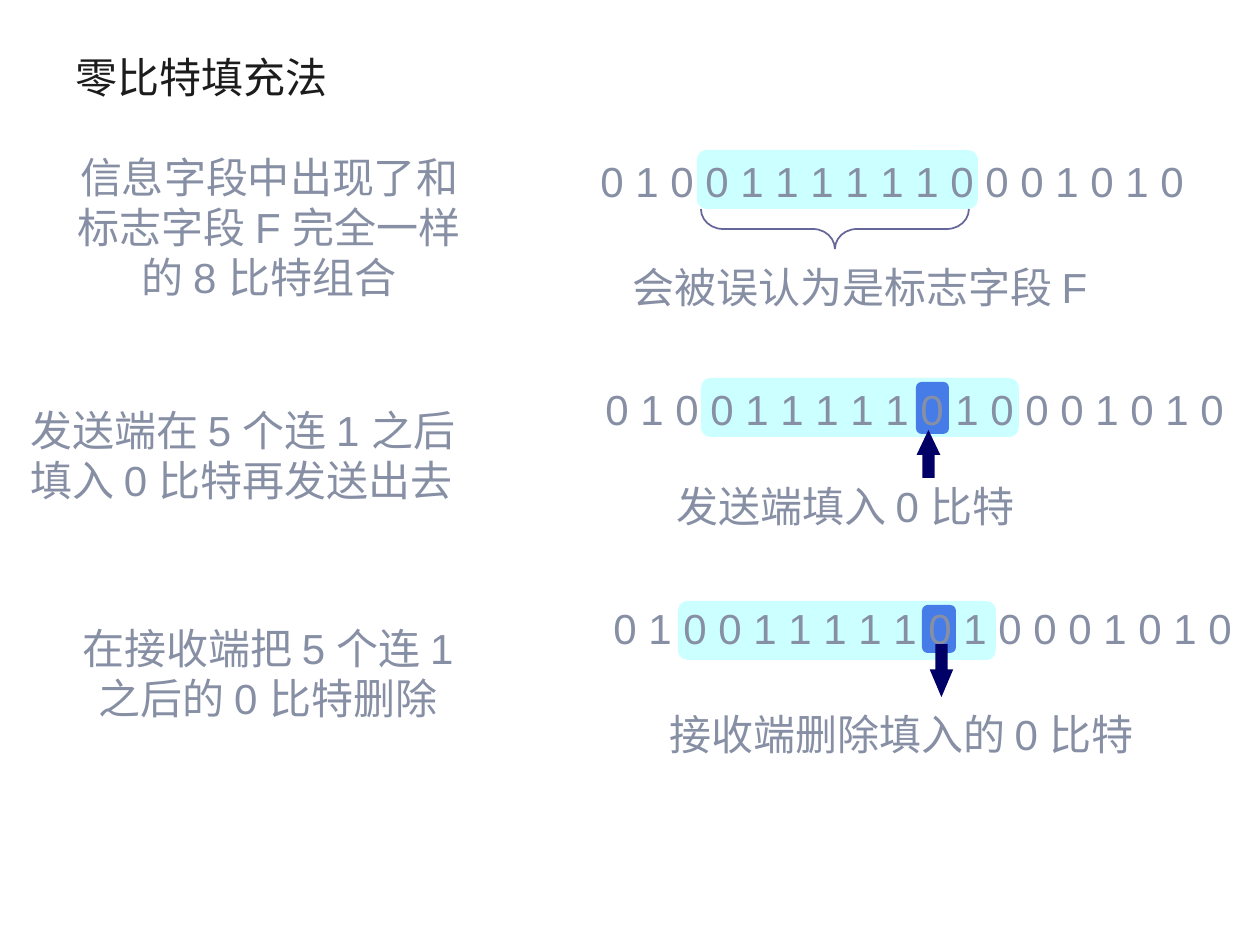
import pptx
import pptx.util
import pptx.dml.color
import pptx.enum.shapes
import pptx.enum.text
import pptx.oxml.ns
from dataclasses import dataclass
from lxml import etree

SHAPE = pptx.enum.shapes.MSO_SHAPE
ALIGN = pptx.enum.text.PP_ALIGN
ANCHOR = pptx.enum.text.MSO_ANCHOR
PX = 914400 // 126


@dataclass(frozen=True)
class Theme:
    title: str = "1C1C1C"
    body: str = "878FA5"
    highlight: str = "CCFFFF"
    stuffed: str = "467CE8"
    arrow: str = "000066"
    brace: str = "666699"
    latin: str = "Arial"
    asian: str = "Noto Sans CJK SC"
    size: int = 24
    leading: float = 28.6
    rounding: float = 0.167


def color(value):
    return pptx.dml.color.RGBColor.from_string(value)


class SlideBuilder:
    def __init__(self, deck, theme):
        self.theme = theme
        self.page = deck.slides.add_slide(deck.slide_layouts[6])

    def text(self, area, lines, align=ALIGN.LEFT, fill=None, latin=None,
             anchor=ANCHOR.TOP):
        theme = self.theme
        box = self.page.shapes.add_textbox(*(n * PX for n in area))
        frame = box.text_frame
        frame.word_wrap = False
        frame.vertical_anchor = anchor
        for index, line in enumerate(lines):
            para = frame.paragraphs[0] if index == 0 else frame.add_paragraph()
            para.alignment = align
            para.line_spacing = pptx.util.Pt(theme.leading)
            span = para.add_run()
            span.text = line
            span.font.color.rgb = color(fill or theme.body)
            settings = {"name": latin or theme.latin,
                        "size": pptx.util.Pt(theme.size)}
            for name, value in settings.items():
                setattr(span.font, name, value)
            asian = etree.SubElement(span.font._element, pptx.oxml.ns.qn("a:ea"))
            asian.set("typeface", theme.asian)

    def shape(self, kind, area, adjustments, fill=None, line=None, rotation=0):
        item = self.page.shapes.add_shape(kind, *(n * PX for n in area))
        item.shadow.inherit = False
        item.rotation = rotation
        for index, value in enumerate(adjustments):
            item.adjustments[index] = value
        if fill:
            item.fill.solid()
            item.fill.fore_color.rgb = color(fill)
        else:
            item.fill.background()
        if line:
            item.line.color.rgb = color(line)
            item.line.width = pptx.util.Pt(1)
            outline = item._element.spPr.find(pptx.oxml.ns.qn("a:ln"))
            etree.SubElement(outline, pptx.oxml.ns.qn("a:miter")).set("lim", "800000")
        else:
            item.line.fill.background()

    def block(self, area, fill):
        self.shape(SHAPE.ROUNDED_RECTANGLE, area, [self.theme.rounding], fill)

    def arrow(self, kind, area, head):
        self.shape(kind, area, [0.5, head], self.theme.arrow, self.theme.arrow)

    def brace(self, area):
        self.shape(SHAPE.LEFT_BRACE, area, [0.55, 0.5],
                   line=self.theme.brace, rotation=270)


# Each step: explanation, bit string with its highlight, and caption
STEPS = [
    {"note": ((45, 146, 448, 164), ALIGN.CENTER,
              ["信息字段中出现了和", "标志字段 F 完全一样", "的 8 比特组合"]),
     "highlight": (697, 150, 281, 59),
     "bits": ((588, 150, 620, 63), "0 1 0 0 1 1 1 1 1 1 0 0 0 1 0 1 0"),
     "caption": ((620, 256, 520, 63), "会被误认为是标志字段 F")},
    {"note": ((18, 399, 510, 113), ALIGN.LEFT,
              ["发送端在 5 个连 1 之后", "填入 0 比特再发送出去"]),
     "highlight": (701, 378, 318, 59),
     "stuffed": (916, 382, 33, 52),
     "bits": ((593, 378, 655, 63), "0 1 0 0 1 1 1 1 1 0 1 0 0 0 1 0 1 0"),
     "caption": ((664, 475, 403, 63), "发送端填入 0 比特"),
     "arrow": (SHAPE.UP_ARROW, (918, 432, 21, 45), 1.05)},
    {"note": ((45, 617, 446, 113), ALIGN.CENTER,
              ["在接收端把 5 个连 1", "之后的 0 比特删除"]),
     "highlight": (678, 601, 318, 59),
     "stuffed": (922, 605, 34, 48),
     "bits": ((601, 597, 655, 63), "0 1 0 0 1 1 1 1 1 0 1 0 0 0 1 0 1 0"),
     "caption": ((657, 703, 529, 63), "接收端删除填入的 0 比特"),
     "arrow": (SHAPE.DOWN_ARROW, (931, 645, 21, 50), 1.18)},
]


def main():
    deck = pptx.Presentation()
    deck.slide_width = pptx.util.Inches(10)
    deck.slide_height = pptx.util.Inches(7.5)
    theme = Theme()
    slide = SlideBuilder(deck, theme)

    # Title
    slide.text((63, 38, 1134, 77), ["零比特填充法"], fill=theme.title,
               latin=theme.asian, anchor=ANCHOR.MIDDLE)

    # Three steps
    for step in STEPS:
        slide.block(step["highlight"], theme.highlight)
        if "stuffed" in step:
            slide.block(step["stuffed"], theme.stuffed)
        area, bits = step["bits"]
        slide.text(area, [bits])
        area, align, lines = step["note"]
        slide.text(area, lines, align)
        area, caption = step["caption"]
        slide.text(area, [caption])
        if "arrow" in step:
            slide.arrow(*step["arrow"])

    # Brace under the pattern mistaken for the flag
    slide.brace((815, 95, 40, 268))

    deck.save("out.pptx")


if __name__ == "__main__":
    main()
